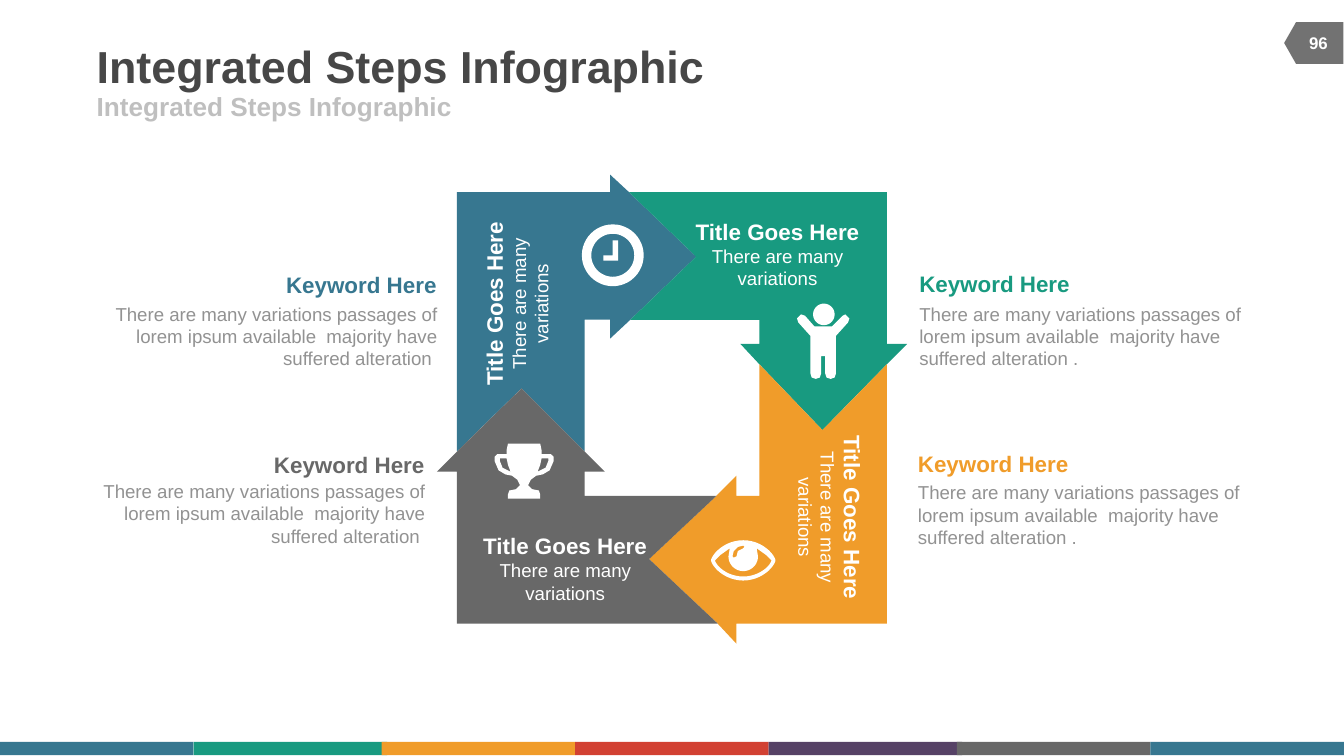
"""Build the Integrated Steps Infographic slide."""
from math import cos, pi, sin

from pptx import Presentation
from pptx.dml.color import RGBColor
from pptx.enum import shapes, text
from pptx.util import Inches, Pt

BLUE, GREEN, ORANGE, GRAY, WHITE = "377790", "189A80", "F09C2A", "686868", "FFFFFF"
LEFT, CENTER, RIGHT = text.PP_ALIGN.LEFT, text.PP_ALIGN.CENTER, text.PP_ALIGN.RIGHT

deck = Presentation()
deck.slide_width = Inches(10)
deck.slide_height = Inches(10 * 9 / 16)
page = deck.slides.add_slide(deck.slide_layouts[6])


def paint(shape, color):
    shape.shadow.inherit = False
    shape.fill.solid()
    shape.fill.fore_color.rgb = RGBColor.from_string(color)
    shape.line.fill.background()


def write(place, words, styles, align=LEFT, anchor=text.MSO_ANCHOR.TOP, wrap=True, turn=0):
    box = page.shapes.add_textbox(*map(Inches, place))
    box.rotation = turn
    frame = box.text_frame
    frame.margin_left = frame.margin_right = frame.margin_top = frame.margin_bottom = 0
    frame.word_wrap = wrap
    frame.vertical_anchor = anchor
    para = frame.paragraphs[0]
    para.text = words
    para.alignment = align
    for span, (size, color, bold) in zip(para.runs, styles):
        span.font.name = "Arial"
        span.font.size = Pt(size)
        span.font.bold = bold
        span.font.color.rgb = RGBColor.from_string(color)


strip_colors = [BLUE, GREEN, ORANGE, "D24132", "564266", GRAY, BLUE]
for left, color in zip([0, 1.44, 2.84, 4.28, 5.72, 7.12, 8.56], strip_colors):
    strip = page.shapes.add_shape(shapes.MSO_SHAPE.RECTANGLE, Inches(left), Inches(5.52),
                                  Inches(1.44), Inches(0.1))
    paint(strip, color)

page_tag = page.shapes.add_shape(shapes.MSO_SHAPE.FLOWCHART_OFFPAGE_CONNECTOR, Inches(9.62),
                                 Inches(0.1), Inches(0.31), Inches(0.44))
page_tag.rotation = 90
paint(page_tag, "727272")

middle = text.MSO_ANCHOR.MIDDLE
heading = "Integrated Steps Infographic"
write((0.72, 0.29, 6.17, 0.39), heading, [(24, "474747", True)], anchor=middle)
write((0.72, 0.68, 4.5, 0.22), heading, [(14, "BFBFBF", True)], anchor=middle)
write((9.6, 0.17, 0.42, 0.3), "96", [(9, WHITE, True)], CENTER, middle)

blue_arrow = [(4.68, 1.43), (5.18, 1.91), (4.69, 2.38), (4.54, 2.52), (4.54, 2.38), (4.35, 2.38),
              (4.35, 3.36), (3.88, 2.89), (3.4, 3.36), (3.4, 1.43), (4.54, 1.43), (4.54, 1.3)]
green_arrow = [(6.6, 2.71), (6.12, 3.2), (5.65, 2.71), (5.51, 2.56), (5.65, 2.56), (5.65, 2.38),
               (4.69, 2.38), (5.18, 1.91), (4.68, 1.43), (6.6, 1.43), (6.6, 2.56), (6.75, 2.56)]
orange_arrow = [(5.34, 4.64), (4.83, 4.16), (5.33, 3.69), (5.48, 3.54), (5.48, 3.69), (5.65, 3.69),
                (5.65, 2.71), (6.12, 3.2), (6.6, 2.71), (6.6, 4.64), (5.48, 4.64), (5.48, 4.79)]
gray_arrow = [(4.35, 3.36), (4.5, 3.51), (4.35, 3.51), (4.35, 3.69), (5.33, 3.69), (4.83, 4.16),
              (5.34, 4.64), (3.4, 4.64), (3.4, 3.51), (3.25, 3.51), (3.4, 3.36), (3.88, 2.89)]

circle = [(cos(step * pi / 24), sin(step * pi / 24)) for step in range(48)]
half = circle[:25]

eye_rim = [(5.53 + 0.24 * x, 4.17 + 0.15 * y * abs(y) ** 0.4) for x, y in circle]
eye_white = [(5.53 + 0.21 * x, 4.17 + 0.12 * y ** 1.4) for x, y in half[:-1]] + [(5.32, 4.17)]
eye_white += [(5.36, 4.13), (5.43, 4.08)]
eye_white += [(5.53 - 0.11 * x, 4.14 + 0.11 * y) for x, y in half] + [(5.63, 4.08), (5.7, 4.13)]
eye_glint = [(5.53, 4.06), (5.49, 4.07), (5.46, 4.1), (5.45, 4.14), (5.46, 4.15), (5.48, 4.14),
             (5.49, 4.1), (5.53, 4.08), (5.54, 4.07)]
clock_rim = [(4.56 + 0.23 * x, 1.9 + 0.23 * y) for x, y in circle]
clock_face = [(4.56 + 0.16 * x, 1.9 + 0.16 * y) for x, y in circle]
clock_hands = [(4.6, 1.94), (4.49, 1.94), (4.49, 1.9), (4.56, 1.9), (4.56, 1.79), (4.6, 1.79)]
head = [(6.13 + 0.08 * x, 2.34 + 0.08 * y) for x, y in circle]
body = [(6.22, 2.5), (6.22, 2.78), (6.21, 2.81), (6.18, 2.82), (6.15, 2.81), (6.14, 2.78),
        (6.14, 2.65), (6.11, 2.65), (6.11, 2.78), (6.1, 2.81), (6.07, 2.82), (6.04, 2.81),
        (6.03, 2.78), (6.03, 2.5), (5.94, 2.4), (5.93, 2.37), (5.96, 2.34), (5.99, 2.35),
        (6.06, 2.43), (6.19, 2.43), (6.27, 2.35), (6.29, 2.34), (6.32, 2.37), (6.31, 2.4)]
cup_side = [(0.12, 3.3), (0.13, 3.35), (0.13, 3.38), (0.2, 3.38), (0.22, 3.4), (0.22, 3.43),
            (0.19, 3.5), (0.14, 3.53), (0.09, 3.54), (0.05, 3.57), (0.03, 3.61), (0.06, 3.64),
            (0.11, 3.65), (0.12, 3.68), (0.12, 3.71)]
handle = [(0.13, 3.41), (0.18, 3.41), (0.18, 3.43), (0.16, 3.48), (0.1, 3.51), (0.12, 3.46)]
cup = [(3.9 + x, y) for x, y in cup_side] + [(3.9 - x, y) for x, y in reversed(cup_side)]
handles = [[(3.9 + side * x, y) for x, y in handle] for side in (1, -1)]

outlines = [
    ([blue_arrow], BLUE), ([green_arrow], GREEN), ([orange_arrow], ORANGE), ([gray_arrow], GRAY),
    ([eye_rim, eye_white, eye_glint], WHITE), ([clock_rim, clock_face, clock_hands], WHITE),
    ([body, head], WHITE), ([cup, *handles], WHITE),
]
for contours, color in outlines:
    rings = [[(Inches(x), Inches(y)) for x, y in contour] for contour in contours]
    builder = page.shapes.build_freeform(*rings[0][0], scale=1.0)
    builder.add_line_segments(rings[0][1:], close=True)
    for ring in rings[1:]:
        builder.move_to(*ring[0])
        builder.add_line_segments(ring[1:], close=True)
    paint(builder.convert_to_shape(), color)

for left, top, turn in [(3.12, 1.99, 270), (5.06, 1.62, 0), (3.48, 3.96, 0), (5.45, 3.58, 90)]:
    write((left, top, 1.45, 0.54), "Title Goes Here\vThere are many variations",
          [(12, WHITE, True), (10, WHITE, False)], CENTER, turn=turn)

passage = "There are many variations passages of lorem ipsum available  majority have suffered alteration "
keywords = [
    (6.84, 2.01, 2.25, GREEN, LEFT), (0.76, 2.02, 2.25, BLUE, RIGHT),
    (0.67, 3.36, 3.57, GRAY, RIGHT), (6.83, 3.35, 3.58, ORANGE, LEFT),
]
for left, top, passage_top, color, align in keywords:
    ending = "." if align == LEFT else ""
    write((left, passage_top, 2.49, 0.5), passage + ending, [(10, "929292", False)], align)
    keyword_left = left if align == LEFT else left + 1.36
    write((keyword_left, top, 1.13, 0.2), "Keyword Here", [(12, color, True)], align, wrap=False)

deck.save("out.pptx")
